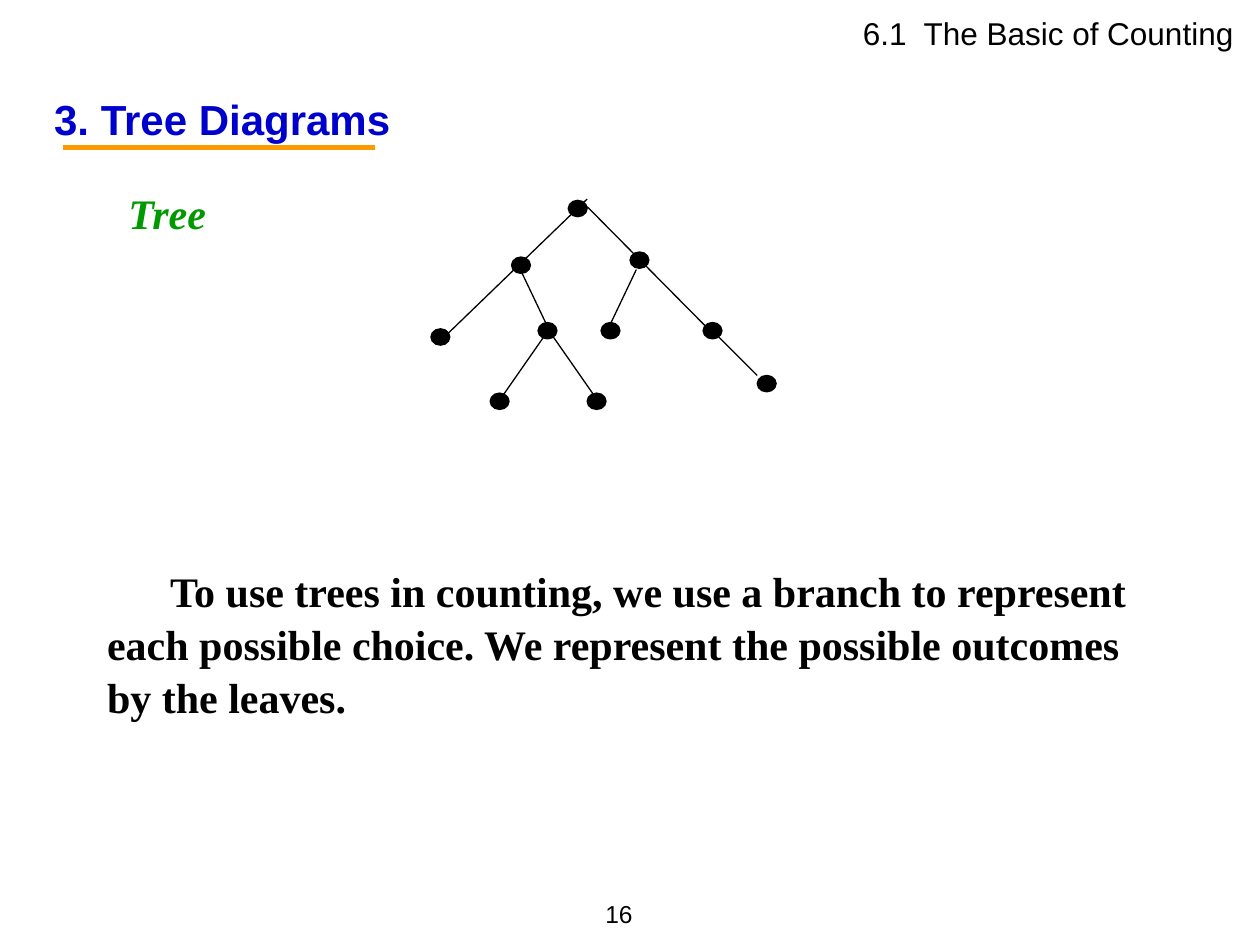
from pptx import Presentation
from pptx.util import Inches, Pt
from pptx.dml.color import RGBColor
from pptx.enum.shapes import MSO_SHAPE as Shape, MSO_CONNECTOR as Line
from pptx.enum.text import PP_ALIGN as Align, MSO_ANCHOR as Anchor, MSO_AUTO_SIZE as Fit
from pptx.oxml.ns import qn
from lxml.etree import SubElement

HUE = {"ink": "000000", "title": "0000CC", "rule": "FF9900", "term": "009900"}
SANS, SERIF = "Arial", "Times New Roman"
HEAD = "6.1  The Basic of Counting"
TITLE = "3. Tree Diagrams"
TERM = "Tree"
BODY = ("To use trees in counting, we use a branch to represent each possible "
        "choice. We represent the possible outcomes by the leaves.")
PAGE = "16"

DOT = (0.15, 0.13)
NODES = [(4.51, 1.59), (4.06, 2.04), (5, 2), (3.42, 2.61), (4.27, 2.56),
         (5.58, 2.56), (4.77, 2.56), (3.89, 3.12), (4.66, 3.12), (6.01, 2.98)]
EDGES = [((4.66, 1.58), (3.5, 2.7)), ((4.66, 1.64), (5.63, 2.62)),
         ((4.13, 2.14), (4.33, 2.56)), ((5.05, 2.14), (4.85, 2.56)),
         ((4.36, 2.61), (3.97, 3.17)), ((4.34, 2.6), (4.73, 3.16)),
         ((5.63, 2.6), (6.01, 2.98))]
RULE = ((0.5, 1.17), (2.98, 1.17))

deck = Presentation()
deck.slide_width, deck.slide_height = Inches(10), Inches(7.5)
slide = deck.slides.add_slide(deck.slide_layouts[1])
shapes = slide.shapes


def color(name):
    return RGBColor.from_string(HUE[name])


def write(box, area, text, size, face, hue="ink", bold=False, italic=False,
          align=Align.LEFT, anchor=Anchor.TOP):
    box.left, box.top, box.width, box.height = map(Inches, area)
    frame = box.text_frame
    frame.text = text
    frame.word_wrap = True
    frame.auto_size = Fit.NONE
    frame.vertical_anchor = anchor
    para = frame.paragraphs[0]
    para.alignment = align
    para.line_spacing = 1.05
    para.space_before = Pt(0)
    font = para.runs[0].font
    font.size, font.name = Pt(size), face
    font.bold, font.italic = bold, italic
    font.color.rgb = color(hue)
    return para


def label(*args, **style):
    return write(shapes.add_textbox(0, 0, 0, 0), *args, **style)


def link(group, ends, hue, width):
    start, end = ends
    line = group.add_connector(Line.STRAIGHT, *map(Inches, start + end))
    line.line.color.rgb = color(hue)
    line.line.width = Pt(width)
    SubElement(line._element.spPr, qn("a:effectLst"))


write(shapes.title, (0.33, 0.67, 8.83, 0.5), TITLE, 24, SANS, "title", bold=True)
link(shapes, RULE, "rule", 3)
label((0.92, 1.42, 4.5, 0.5), TERM, 24, SERIF, "term", bold=True, italic=True)

tree = shapes.add_group_shape().shapes
for spot in NODES:
    dot = tree.add_shape(Shape.OVAL, *map(Inches, spot + DOT))
    dot.shadow.inherit = False
    dot.fill.solid()
    dot.fill.fore_color.rgb = color("ink")
    dot.line.color.rgb = color("ink")
    dot.line.width = Pt(0.74)
for ends in EDGES:
    link(tree, ends, "ink", 0.74)

para = write(slide.placeholders[1], (0.75, 4.42, 8.42, 1.3), BODY, 24, SERIF, bold=True)
props = para._p.get_or_add_pPr()
props.set("marL", "0")
props.set("indent", str(Inches(0.5)))
SubElement(props, qn("a:buNone"))

label((6.75, 0.05, 3.25, 0.4), HEAD, 18, SANS)
label((4.45, 7, 0.67, 0.5), PAGE, 14, SANS, align=Align.RIGHT, anchor=Anchor.MIDDLE)

deck.save("out.pptx")
